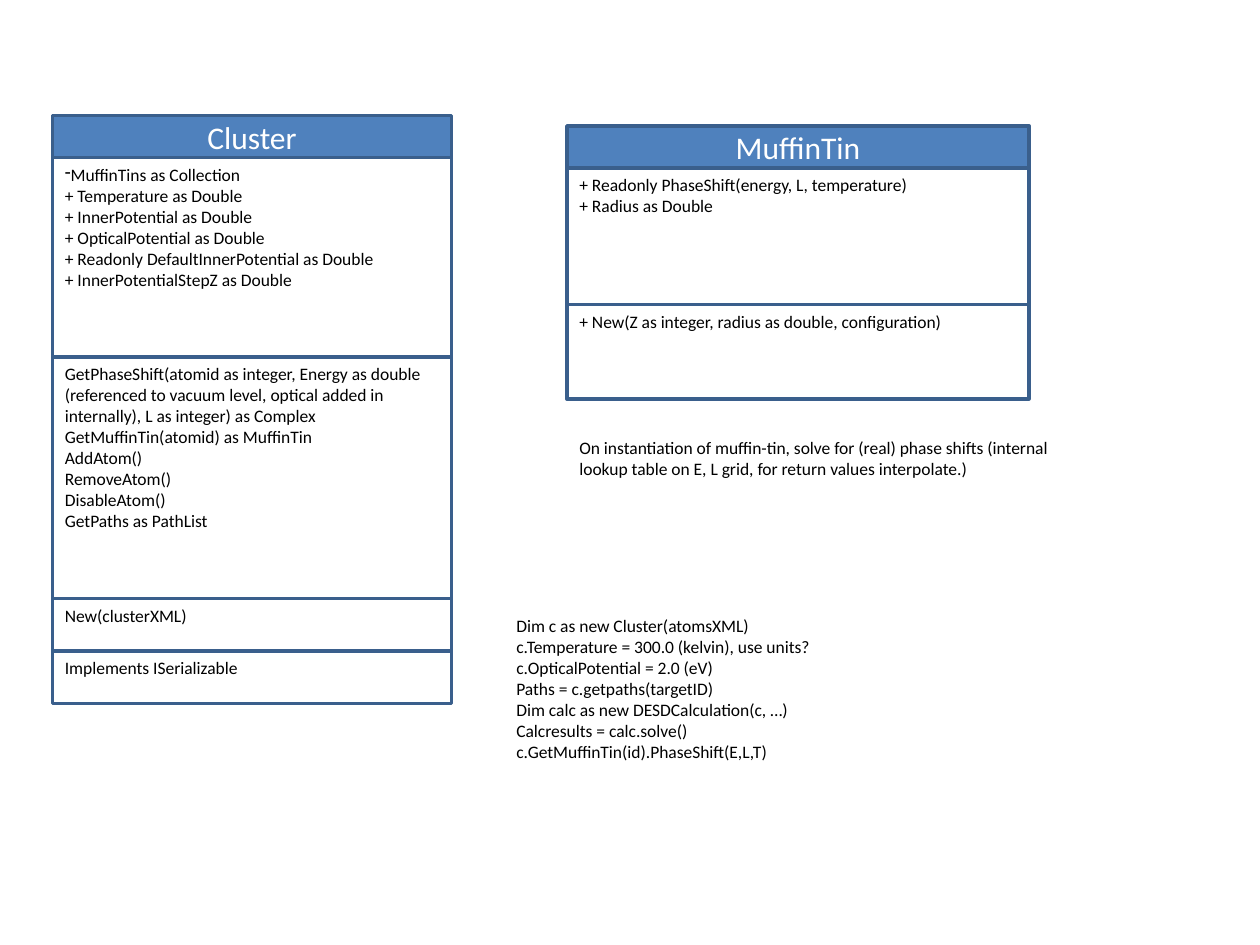
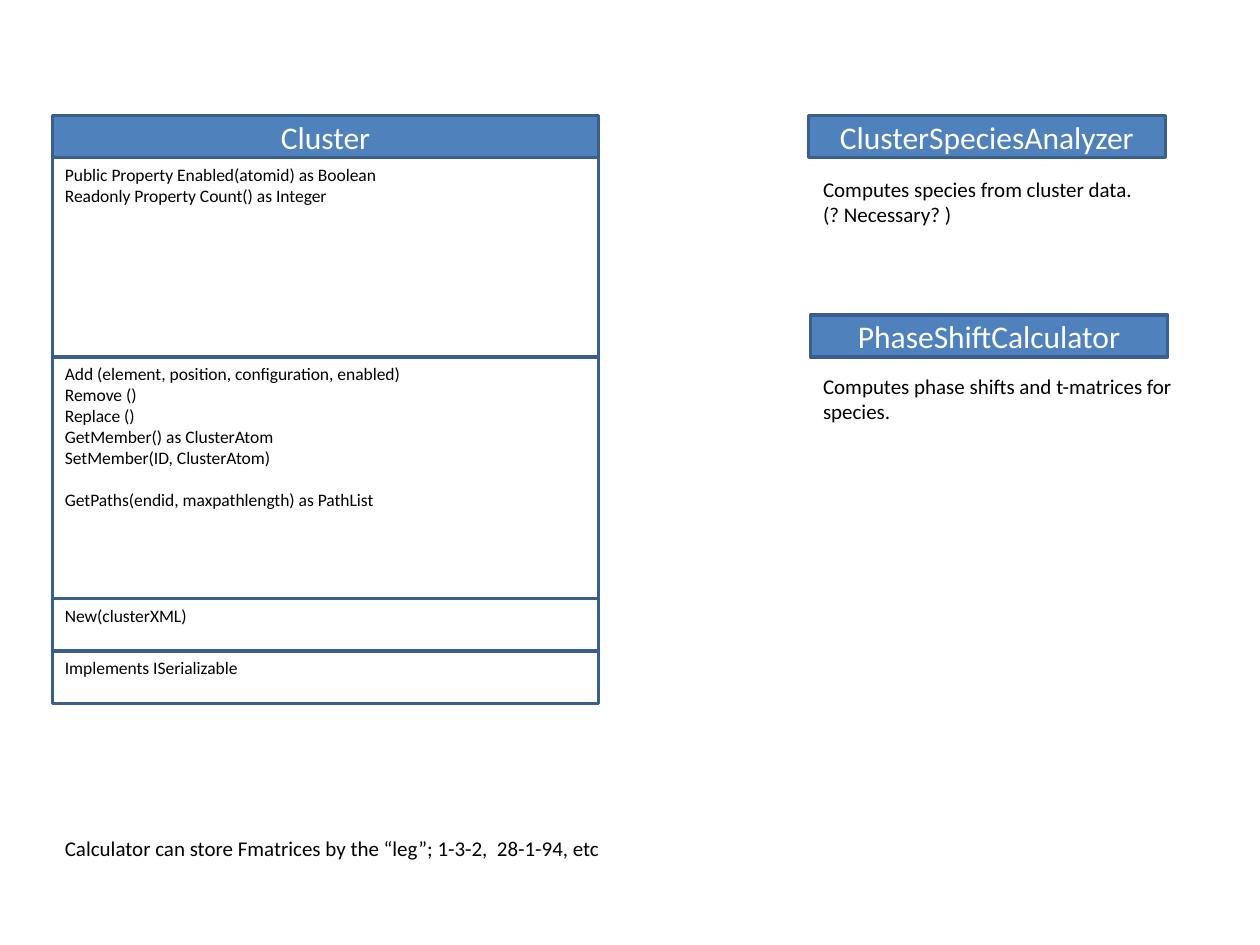
from pptx import Presentation
from pptx.dml.color import RGBColor
from pptx.enum.shapes import MSO_SHAPE
from pptx.enum.text import MSO_ANCHOR, MSO_AUTO_SIZE, PP_ALIGN
from pptx.util import Inches, Pt
from lxml import etree

COLORS = {"header": "4F81BD", "border": "3A5F8C", "body": "FFFFFF",
          "title": "FFFFFF", "text": "000000"}
FONT = "Calibri"
HEADER_ROWS = 4
BODY_PT, NOTE_PT, TITLE_PT = 10, 12, 18

prs = Presentation()
prs.slide_width, prs.slide_height = Inches(10), Inches(7.5)
UNIT = prs.slide_width // 120  # the grid has 120 columns and 90 rows


def write(sp, lines, size, color="text", align=PP_ALIGN.LEFT):
    """Fill a shape with paragraphs; an empty line becomes space before the next."""
    tf = sp.text_frame
    tf.word_wrap = True
    gap, p = 0, None
    for line in lines:
        if not line:
            gap = size * 1.2
            continue
        p = tf.add_paragraph() if p else tf.paragraphs[0]
        p.alignment = align
        if gap:
            p.space_before = Pt(gap)
            gap = 0
        p.text = line.removeprefix("-")
        if line.startswith("-"):
            pPr = p._p.get_or_add_pPr()
            ns = pPr.nsmap["a"]
            etree.SubElement(pPr, f"{{{ns}}}buFontTx")
            etree.SubElement(pPr, f"{{{ns}}}buChar", char="-")
        font = p.runs[0].font
        font.name, font.size = FONT, Pt(size)
        font.color.rgb = RGBColor.from_string(COLORS[color])


def add_class(slide, left, top, width, name, sections=()):
    """Draw a class box: a header, then stacked sections of (rows, lines)."""
    for i, (rows, lines) in enumerate([(HEADER_ROWS, [name]), *sections]):
        sp = slide.shapes.add_shape(
            MSO_SHAPE.RECTANGLE, *(int(n * UNIT) for n in (left, top, width, rows)))
        sp.shadow.inherit = False
        sp.fill.solid()
        sp.fill.fore_color.rgb = RGBColor.from_string(COLORS["body" if i else "header"])
        sp.line.color.rgb = RGBColor.from_string(COLORS["border"])
        sp.line.width = Pt(2)
        sp.text_frame.vertical_anchor = MSO_ANCHOR.TOP if i else MSO_ANCHOR.MIDDLE
        if i:
            write(sp, lines, BODY_PT)
        else:
            write(sp, lines, TITLE_PT, "title", PP_ALIGN.CENTER)
        top += rows


# Both slides show Cluster with the same compartments
CLUSTER_LEFT, CLUSTER_TOP = 5, 11
PROPERTY_ROWS, METHOD_ROWS = 19, 23
cluster_tail = [(5, ["New(clusterXML)"]), (5, ["Implements ISerializable"])]

# Each slide: class boxes (left, top, width, name, sections),
# then notes (left, top, width, height, size, lines)
slides = [
    ([(CLUSTER_LEFT, CLUSTER_TOP, 38, "Cluster", [
        (PROPERTY_ROWS, ["-MuffinTins as Collection",
                         "+ Temperature as Double",
                         "+ InnerPotential as Double",
                         "+ OpticalPotential as Double",
                         "+ Readonly DefaultInnerPotential as Double",
                         "+ InnerPotentialStepZ as Double"]),
        (METHOD_ROWS, ["GetPhaseShift(atomid as integer, Energy as double "
                       "(referenced to vacuum level, optical added in "
                       "internally), L as integer) as Complex",
                       "GetMuffinTin(atomid) as MuffinTin",
                       "AddAtom()", "RemoveAtom()", "DisableAtom()",
                       "GetPaths as PathList"]),
        *cluster_tail]),
      (54, 12, 44, "MuffinTin", [
          (13, ["+ Readonly PhaseShift(energy, L, temperature)",
                "+ Radius as Double"]),
          (9, ["+ New(Z as integer, radius as double, configuration)"])])],
     [(48, 58, 31, 17.4, BODY_PT, ["Dim c as new Cluster(atomsXML)",
                                   "c.Temperature = 300.0 (kelvin), use units?",
                                   "c.OpticalPotential = 2.0 (eV)",
                                   "Paths = c.getpaths(targetID)",
                                   "Dim calc as new DESDCalculation(c, …)",
                                   "Calcresults = calc.solve()",
                                   "c.GetMuffinTin(id).PhaseShift(E,L,T)"]),
      (54, 41, 47, 5.3, BODY_PT, [
          "On instantiation of muffin-tin, solve for (real) phase shifts (internal "
          "lookup table on E, L grid, for return values interpolate.)"])]),
    ([(CLUSTER_LEFT, CLUSTER_TOP, 52, "Cluster", [
        (PROPERTY_ROWS, ["Public Property Enabled(atomid) as Boolean",
                         "Readonly Property Count() as Integer"]),
        (METHOD_ROWS, ["Add (element, position, configuration, enabled)",
                       "Remove ()", "Replace ()",
                       "GetMember() as ClusterAtom",
                       "SetMember(ID, ClusterAtom)",
                       "",
                       "GetPaths(endid, maxpathlength) as PathList"]),
        *cluster_tail]),
      (77, CLUSTER_TOP, 34, "ClusterSpeciesAnalyzer", []),
      (77.2, 30, 34, "PhaseShiftCalculator", [])],
     [(CLUSTER_LEFT, 79, 67, 3.6, NOTE_PT, [
         "Calculator can store Fmatrices by the “leg”; 1-3-2,  28-1-94, etc"]),
      (77.2, 16.2, 38, 6, NOTE_PT, ["Computes species from cluster data.",
                                    "(? Necessary? )"]),
      (77.2, 35, 38, 6, NOTE_PT, [
          "Computes phase shifts and t-matrices for species."])]),
]

for classes, notes in slides:
    slide = prs.slides.add_slide(prs.slide_layouts[6])
    for box in classes:
        add_class(slide, *box)
    for left, top, width, height, size, lines in notes:
        sp = slide.shapes.add_textbox(*(int(n * UNIT) for n in (left, top, width, height)))
        sp.text_frame.auto_size = MSO_AUTO_SIZE.SHAPE_TO_FIT_TEXT
        write(sp, lines, size)

prs.save("out.pptx")
